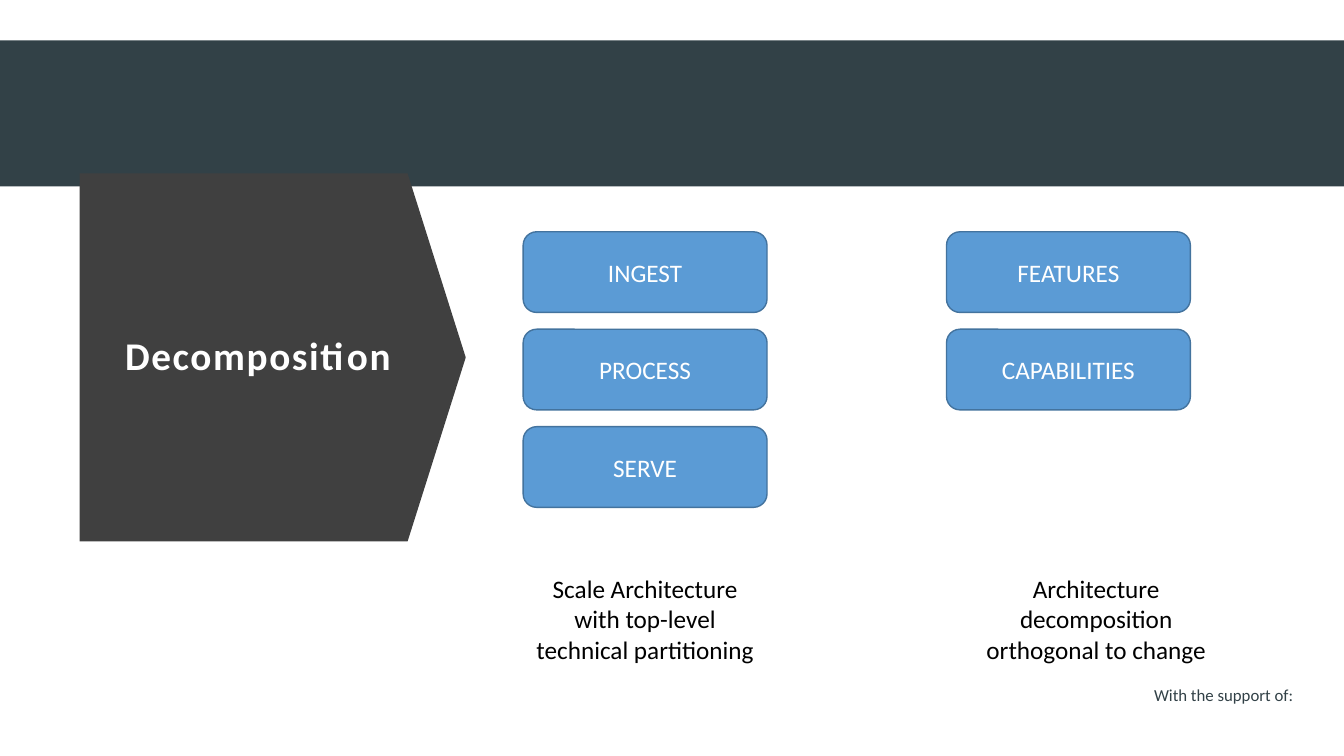
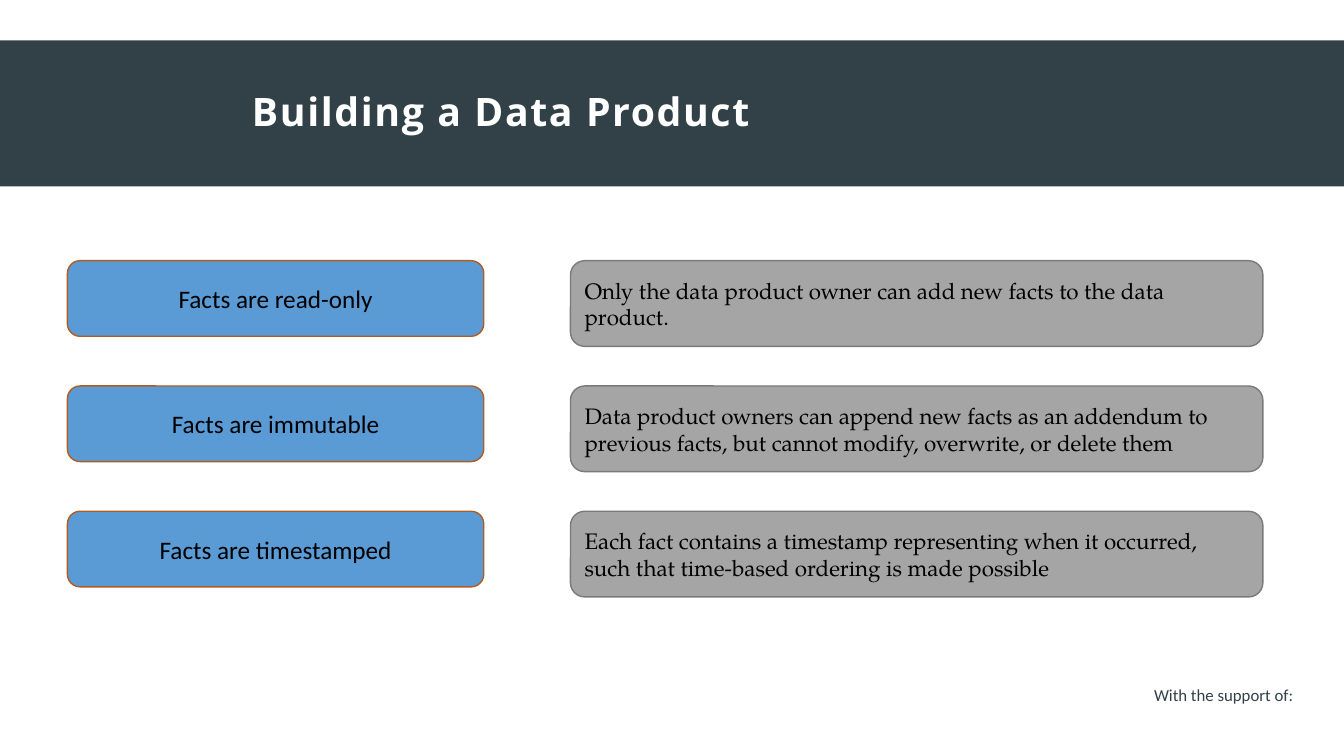
from pptx import Presentation
from pptx.dml.color import RGBColor
from pptx.enum.shapes import MSO_SHAPE
from pptx.enum.text import MSO_ANCHOR, MSO_AUTO_SIZE, PP_ALIGN
from pptx.util import Pt

RECT, ROUNDED, ARROW = MSO_SHAPE.RECTANGLE, MSO_SHAPE.ROUNDED_RECTANGLE, MSO_SHAPE.DOWN_ARROW
LEFT, CENTER = PP_ALIGN.LEFT, PP_ALIGN.CENTER
TOP, MIDDLE = MSO_ANCHOR.TOP, MSO_ANCHOR.MIDDLE
NO_AUTOFIT = MSO_AUTO_SIZE.NONE

COLORS = {
    "band": "324147",
    "arrow": "404040",
    "blue": "5B9BD5",
    "blue_edge": "43739E",
    "rust_edge": "AF5C24",
    "gray": "A5A5A5",
    "gray_edge": "7A7A7A",
    "white": "FFFFFF",
    "black": "000000",
}
SANS, HEADING, SERIF = "Calibri", "Open Sans", "TeX Gyre Pagella"
SLIDE_WIDTH, SLIDE_HEIGHT = 960, 540
BAND_TOP, BAND_HEIGHT = 28.8, 104.4
TITLE_ONLY = 5

PARTITIONS = [
    (373.7, ["INGEST", "PROCESS", "SERVE"]),
    (676.1, ["FEATURES", "CAPABILITIES"]),
]
CAPTIONS = [
    ((681.1, 406, 203.8, 72.7), "Architecture decomposition orthogonal to change"),
    ((373.7, 406, 174.2, 72.7), "Scale Architecture with top-level technical partitioning"),
]
FACTS = [
    ("Facts are read-only",
     "Only the data product owner can add new facts to the data product."),
    ("Facts are immutable",
     "Data product owners can append new facts as an addendum to previous facts, "
     "but cannot modify, overwrite, or delete them"),
    ("Facts are timestamped",
     "Each fact contains a timestamp representing when it occurred, "
     "such that time-based ordering is made possible"),
]


def rgb(name):
    return RGBColor.from_string(COLORS[name])


def write(shape, text, size, color, font=SANS, align=CENTER, anchor=MIDDLE, wrap=True):
    """Fill the shape's first paragraph with one run and return that run."""
    frame = shape.text_frame
    frame.word_wrap = wrap
    frame.vertical_anchor = anchor
    paragraph = frame.paragraphs[0]
    paragraph.alignment = align
    run = paragraph.add_run()
    run.text = text
    run.font.name = font
    run.font.size = Pt(size)
    run.font.color.rgb = rgb(color)
    return run


def add_panel(slide, preset, box, fill, edge=None):
    panel = slide.shapes.add_shape(preset, *map(Pt, box))
    panel.shadow.inherit = False
    panel.fill.solid()
    panel.fill.fore_color.rgb = rgb(fill)
    if edge:
        panel.line.color.rgb = rgb(edge)
        panel.line.width = Pt(1)
    else:
        panel.line.fill.background()
    return panel


def add_label(slide, box, text, **style):
    label = slide.shapes.add_textbox(*map(Pt, box))
    write(label, text, anchor=TOP, **style)
    return label


def set_title(slide, box, text, font, align):
    title = slide.shapes.title
    title.left, title.top, title.width, title.height = map(Pt, box)
    title.text_frame.auto_size = NO_AUTOFIT
    run = write(title, text, 28, "white", font, align)
    run.font.bold = True
    run._r.get_or_add_rPr().set("spc", "120")
    title.text_frame.paragraphs[0].line_spacing = 0.9
    return title


def decorate_layout(layout, slide):
    """Draw the band and the support line, then hand them to the layout."""
    band = add_panel(slide, RECT, (0, BAND_TOP, SLIDE_WIDTH, BAND_HEIGHT), "band")
    support = add_label(slide, (816.5, 485.3, 115.2, 21.6), "With the support of:",
                        size=12, color="band", wrap=False)
    for position, part in enumerate((band, support), start=2):
        layout.shapes.element.insert(position, part.element)


def add_partition(slide, left, top, names):
    width, height, step = 174.2, 57.6, 69.6
    for row, name in enumerate(names):
        panel = add_panel(slide, ROUNDED, (left, top + row * step, width, height),
                          "blue", "blue_edge")
        write(panel, name, 18, "white")


def add_facts(slide, left, top, facts):
    """Pair each short fact with its explanation, one row per fact."""
    fact_width, fact_height = 297.4, 54
    detail_offset, detail_width, detail_height = 359.3, 494.6, 61.2
    step = 89.5
    for row, (fact, detail) in enumerate(facts):
        y = top + row * step
        fact_panel = add_panel(slide, ROUNDED, (left, y, fact_width, fact_height),
                               "blue", "rust_edge")
        write(fact_panel, fact, 18, "black")
        detail_panel = add_panel(slide, ROUNDED,
                                 (left + detail_offset, y, detail_width, detail_height),
                                 "gray", "gray_edge")
        write(detail_panel, detail, 16, "black", SERIF, LEFT)


def build_decomposition(slide):
    title = set_title(slide, (80.6, 154.8, 207.4, 200.9), "Decomposition", SANS, CENTER)
    arrow = add_panel(slide, ARROW, (63.4, 117.4, 262.8, 275.8), "arrow")
    arrow.rotation = 270
    arrow.adjustments[0], arrow.adjustments[1] = 1, 0.158
    title.element.addprevious(arrow.element)
    for box, caption in CAPTIONS:
        add_label(slide, box, caption, size=18, color="black")
    for left, names in PARTITIONS:
        add_partition(slide, left, 165.6, names)


def build_data_product(slide):
    set_title(slide, (172.8, BAND_TOP, 721.4, BAND_HEIGHT),
              "Building a Data Product", HEADING, LEFT)
    add_facts(slide, 48.2, 186.2, FACTS)


def main():
    deck = Presentation()
    deck.slide_width, deck.slide_height = Pt(SLIDE_WIDTH), Pt(SLIDE_HEIGHT)
    layout = deck.slide_layouts[TITLE_ONLY]
    decomposition, data_product = (deck.slides.add_slide(layout) for _ in range(2))
    decorate_layout(layout, decomposition)
    build_decomposition(decomposition)
    build_data_product(data_product)
    deck.save("out.pptx")


if __name__ == "__main__":
    main()
